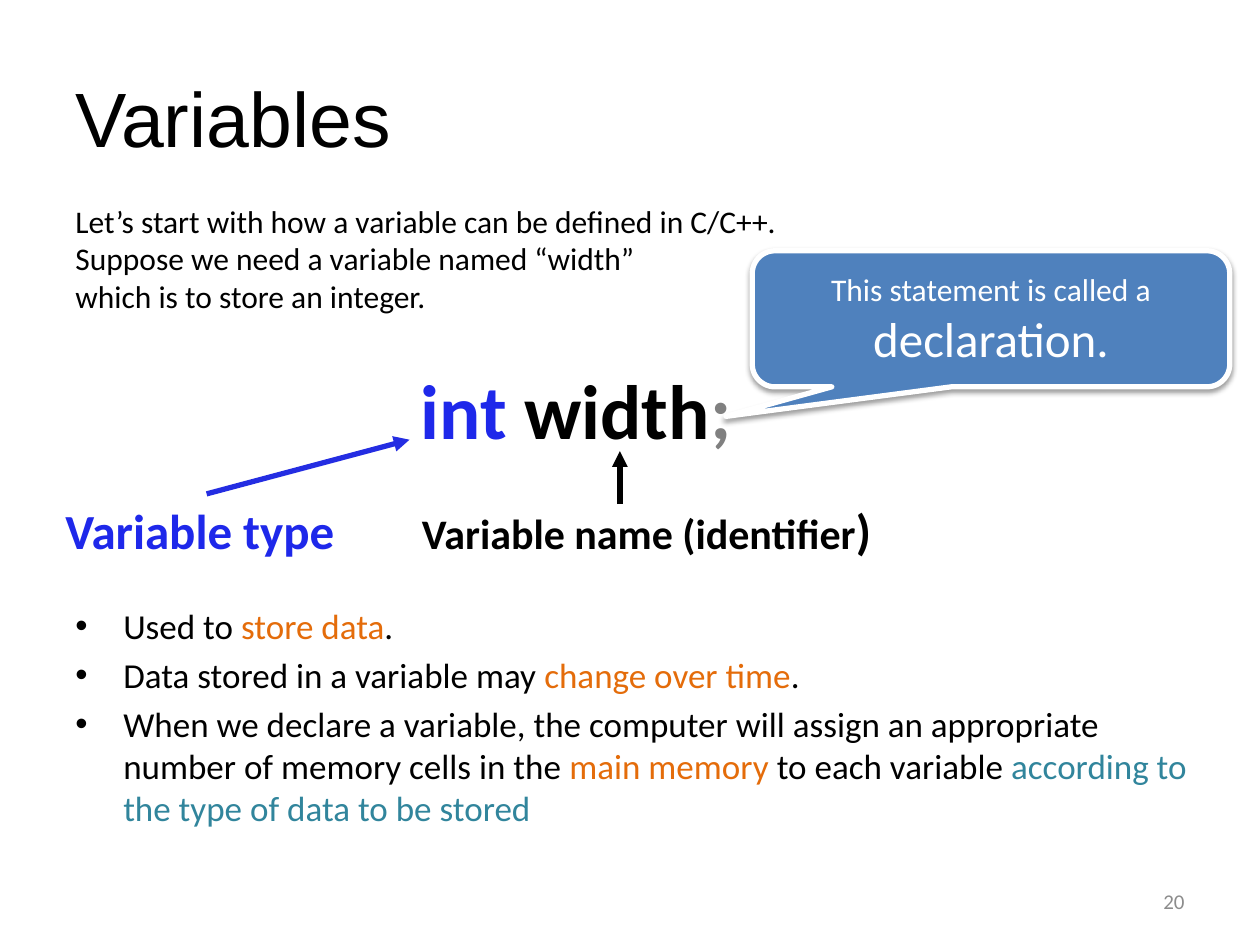
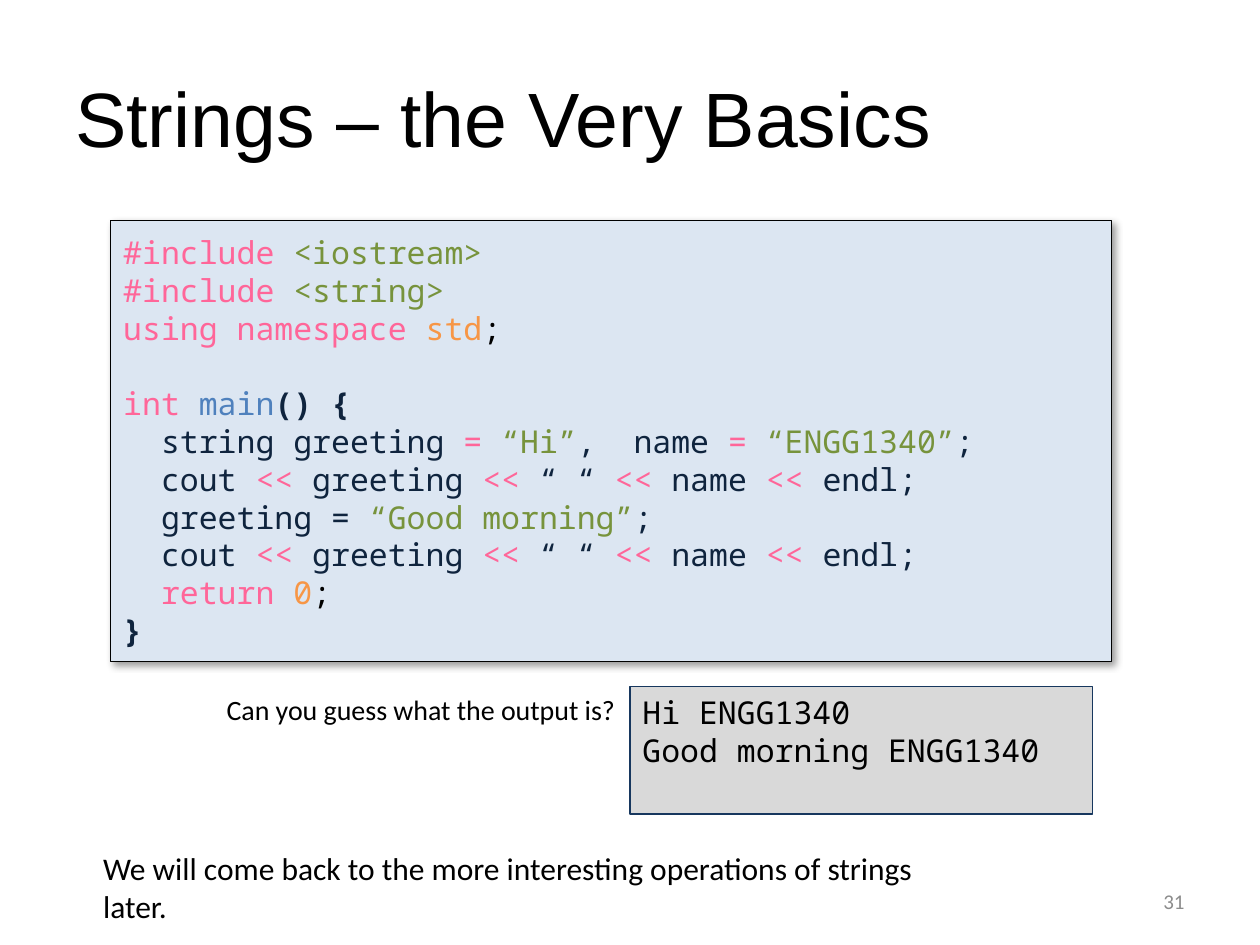
from lxml.etree import SubElement
from pptx import Presentation
from pptx.dml.color import RGBColor
from pptx.enum.shapes import MSO_CONNECTOR, MSO_SHAPE
from pptx.enum.text import MSO_ANCHOR as Anchor, PP_ALIGN as Align
from pptx.oxml.ns import qn
from pptx.util import Inches, Pt

COLOURS = {
    "black": "000000", "white": "FFFFFF", "grey": "808080", "number": "8C8C8C",
    "blue": "1E28EA", "arrow": "242DE2", "orange": "E46C0A", "teal": "31859C",
    "callout": "4F81BD", "panel": "DCE6F2", "output": "D9D9D9", "frame": "17375E",
    "keyword": "FF6699", "literal": "77933C", "value": "F79646",
    "function": "4F81BD", "code": "0F243E",
}
BODY, TITLE, MONO = "Calibri", "Arial", "Noto Sans Mono"
CODE_INDENT = 0.3       # two monospaced characters at 18 pt
CODE_LINE = 21.6        # height of one code line in points

# Content: a paragraph is a list of runs (text, colour, optional font changes)
INTRO = [
    [("Let’s start with how a variable can be defined in C/C++.", "black")],
    [("Suppose we need a variable named “width”", "black")],
    [("which is to store an integer.", "black")],
]
STATEMENT = [[("int", "blue"), (" width", "black"), (";", "grey")]]
TYPE_LABEL = [[("Variable type", "blue")]]
NAME_LABEL = [[("Variable name (identifier", "black"), (")", "black", {"size": 28})]]
DECLARATION = [[("This statement is called a ", "white"),
                ("declaration.", "white", {"size": 28})]]
FACTS = [
    [("Used to ", "black"), ("store data", "orange"), (".", "black")],
    [("Data stored in a variable may ", "black"), ("change over time", "orange"),
     (".", "black")],
    [("When we declare a variable, the computer will assign an appropriate "
      "number of memory cells in the ", "black"),
     ("main memory ", "orange"), ("to each variable ", "black"),
     ("according to the type of data to be stored", "teal")],
]

PRINT_LINE = [("cout ", "code"), ("<<", "keyword"), (" greeting ", "code"),
              ("<<", "keyword"), (" “ “ ", "code"), ("<<", "keyword"),
              (" name ", "code"), ("<< ", "keyword"), ("endl;", "code")]
CODE_HEADER = [
    [("#include ", "keyword"), ("<iostream>", "literal")],
    [("#include ", "keyword"), ("<string>", "literal")],
    [("using namespace ", "keyword"), ("std", "value"), (";", "black")],
]
CODE_OPEN = [("int ", "keyword"), ("main", "function"), ("() {", "code", {"bold": True})]
CODE_BODY = [
    [("string greeting ", "code"), ("= ", "keyword"), ("“Hi”", "literal"),
     (",  name ", "code"), ("= ", "keyword"), ("“ENGG1340”", "literal"), (";", "code")],
    PRINT_LINE,
    [("greeting = ", "code"), ("“Good morning”", "literal"), (";", "code")],
    PRINT_LINE,
    [("return ", "keyword"), ("0", "value"), (";", "black")],
]
CODE_CLOSE = [("}", "code", {"bold": True})]
OUTPUT = [[("Hi ENGG1340", "black")], [("Good morning ENGG1340", "black")]]
QUESTION = [[("Can you guess what the output is?", "black")]]
CLOSING = [[("We will come back to the more interesting operations of strings later.",
             "black")]]


def colour(name):
    return RGBColor.from_string(COLOURS[name])


def write(shape, paragraphs, size=18, font=BODY, bold=False, align=Align.LEFT,
          anchor=Anchor.TOP, wrap=True):
    """Fill a shape with paragraphs and return them for further formatting."""
    frame = shape.text_frame
    frame.word_wrap = wrap
    frame.vertical_anchor = anchor
    for index, runs in enumerate(paragraphs):
        paragraph = frame.add_paragraph() if index else frame.paragraphs[0]
        paragraph.alignment = align
        for text, tint, *changes in runs:
            look = {"size": size, "bold": bold, **(changes[0] if changes else {})}
            run = paragraph.add_run()
            run.text = text
            run.font.name = font
            run.font.size = Pt(look["size"])
            run.font.bold = look["bold"]
            run.font.color.rgb = colour(tint)
    return frame.paragraphs


def add_text(slide, box, paragraphs, **style):
    shape = slide.shapes.add_textbox(*map(Inches, box))
    return write(shape, paragraphs, **style)


def add_panel(slide, kind, box, fill, line, width, shadow=None):
    """Add a filled shape; shadow is (opacity %, blur pt, distance pt, angle)."""
    shape = slide.shapes.add_shape(kind, *map(Inches, box))
    shape.shadow.inherit = False
    shape.fill.solid()
    shape.fill.fore_color.rgb = colour(fill)
    shape.line.color.rgb = colour(line)
    shape.line.width = Pt(width)
    if shadow:
        opacity, blur, distance, angle = shadow
        effects = shape._element.spPr.find(qn("a:effectLst"))
        outer = SubElement(effects, qn("a:outerShdw"), blurRad=str(Pt(blur)),
                           dist=str(Pt(distance)), dir=str(angle * 60000),
                           algn="ctr", rotWithShape="0")
        tint = SubElement(outer, qn("a:srgbClr"), val=COLOURS["black"])
        SubElement(tint, qn("a:alpha"), val=str(opacity * 1000))
    return shape


def add_arrow(slide, start, end, tint):
    arrow = slide.shapes.add_connector(MSO_CONNECTOR.STRAIGHT,
                                       *map(Inches, start + end))
    arrow.line.color.rgb = colour(tint)
    arrow.line.width = Pt(3)
    SubElement(arrow.line._get_or_add_ln(), qn("a:tailEnd"), type="triangle")
    SubElement(arrow._element.spPr, qn("a:effectLst"))


def indent(paragraph, left, first=0):
    properties = paragraph._p.get_or_add_pPr()
    properties.set("marL", str(Inches(left)))
    properties.set("indent", str(Inches(first)))
    return properties


def add_bullets(paragraphs):
    for paragraph in paragraphs:
        paragraph.space_before = Pt(4)
        properties = indent(paragraph, 0.38, -0.38)
        tint = SubElement(properties, qn("a:buClr"))
        SubElement(tint, qn("a:srgbClr"), val=COLOURS["black"])
        SubElement(properties, qn("a:buFont"), typeface="Arial")
        SubElement(properties, qn("a:buChar"), char="•")


def start_slide(presentation, title, number):
    slide = presentation.slides.add_slide(presentation.slide_layouts[6])
    add_text(slide, (0.5, 0.3, 9, 1.25), [[(title, "black")]], size=44, font=TITLE,
             anchor=Anchor.MIDDLE)
    add_text(slide, (7.17, 6.95, 2.33, 0.4), [[(number, "number")]], size=12,
             align=Align.RIGHT, anchor=Anchor.MIDDLE)
    return slide


def build_variables(presentation):
    slide = start_slide(presentation, "Variables", "20")
    add_bullets(add_text(slide, (0.5, 4.75, 9.22, 2.06), FACTS, size=20))

    # Annotated statement
    for box, paragraphs, size in (
        ((3.24, 2.83, 2.69, 0.84), STATEMENT, 44),
        ((0.42, 3.92, 2.44, 0.57), TYPE_LABEL, 28),
        ((3.25, 3.92, 3.88, 0.57), NAME_LABEL, 24),
    ):
        add_text(slide, box, paragraphs, size=size, bold=True, wrap=False)
    add_arrow(slide, (1.64, 3.92), (3.25, 3.49), "arrow")
    add_arrow(slide, (4.92, 4), (4.92, 3.58), "black")

    # Callout
    callout = add_panel(slide, MSO_SHAPE.ROUNDED_RECTANGULAR_CALLOUT,
                        (5.97, 1.99, 3.79, 1.08), "callout", "white", 3,
                        shadow=(38, 3.1, 1.6, 90))
    for index, value in enumerate((-0.555, 0.717, 0.167)):
        callout.adjustments[index] = value
    write(callout, DECLARATION, align=Align.CENTER, anchor=Anchor.MIDDLE)

    add_text(slide, (0.5, 1.55, 8.55, 1.01), INTRO)


def build_strings(presentation):
    slide = start_slide(presentation, "Strings – the Very Basics", "31")

    # Program listing
    listing = add_panel(slide, MSO_SHAPE.RECTANGLE, (0.88, 1.75, 7.94, 3.5),
                        "panel", "black", 0.75, shadow=(40, 4, 3, 45))
    lines = write(listing, [*CODE_HEADER, CODE_OPEN, *CODE_BODY, CODE_CLOSE],
                  font=MONO, anchor=Anchor.MIDDLE)
    opening = len(CODE_HEADER)
    lines[opening].space_before = Pt(CODE_LINE)
    for line in lines[opening + 1:-1]:
        indent(line, CODE_INDENT)

    # Question, its answer and the closing remark
    add_text(slide, (0.72, 6.69, 7.15, 0.4), CLOSING)
    output = add_panel(slide, MSO_SHAPE.RECTANGLE, (5, 5.45, 3.67, 1.01),
                       "output", "frame", 0.75)
    write(output, OUTPUT, font=MONO)
    add_text(slide, (1.7, 5.45, 3.3, 0.37), QUESTION, size=16, wrap=False)


def main():
    presentation = Presentation()
    presentation.slide_width, presentation.slide_height = Inches(10), Inches(7.5)
    build_variables(presentation)
    build_strings(presentation)
    presentation.save("out.pptx")


if __name__ == "__main__":
    main()
